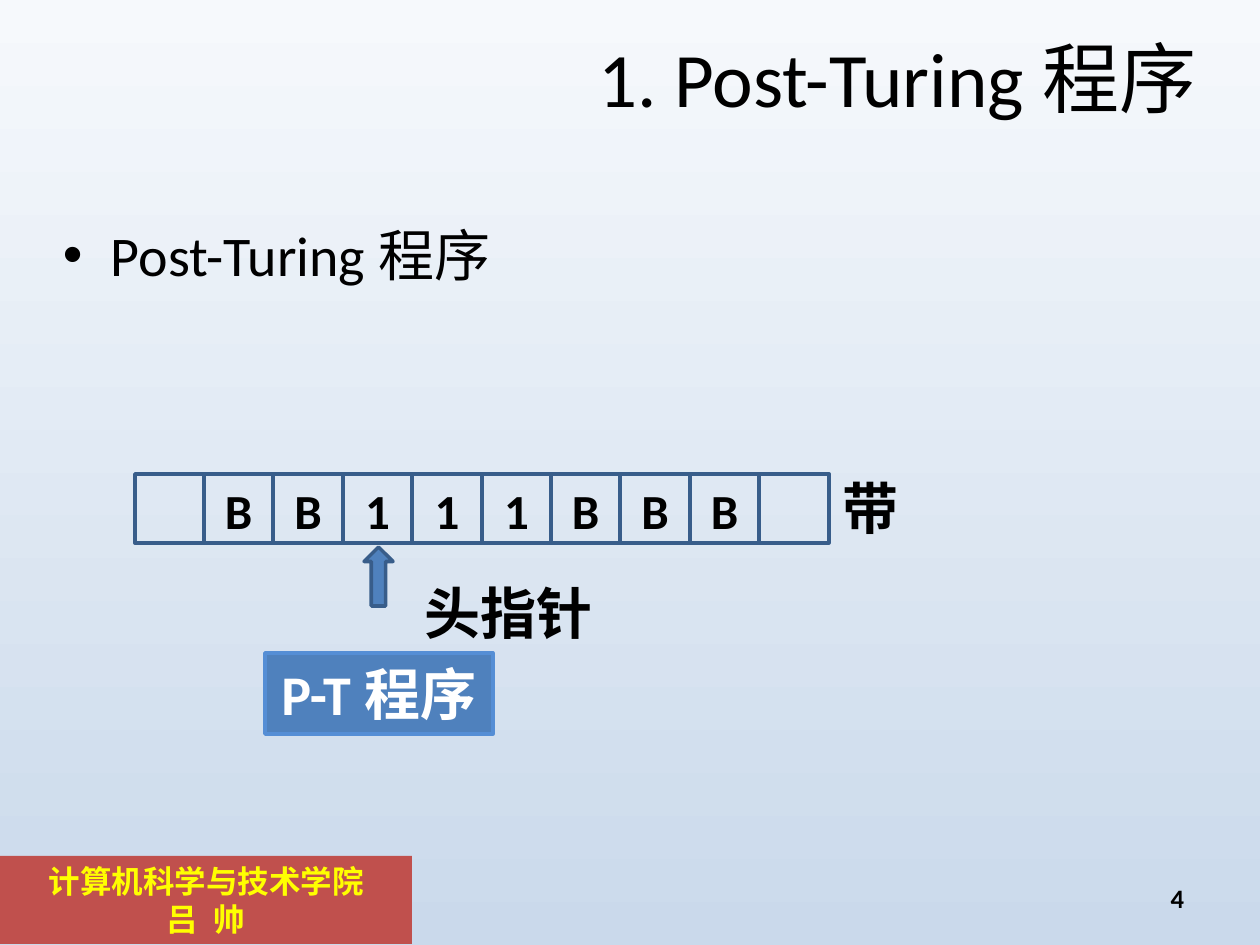
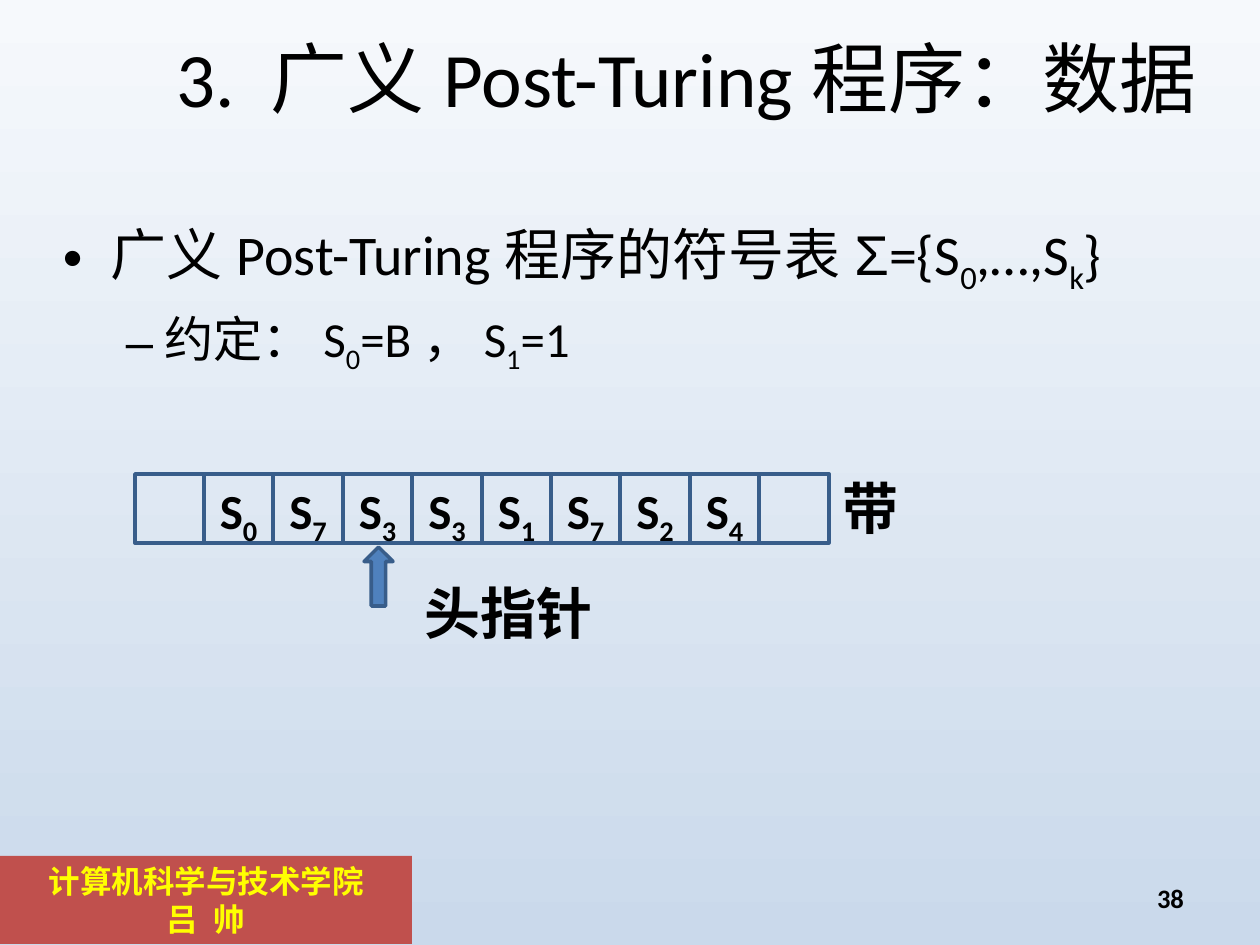
from dataclasses import dataclass
from typing import NamedTuple, Optional

from lxml import etree
from pptx import Presentation
from pptx.dml.color import RGBColor
from pptx.enum.shapes import MSO_SHAPE
from pptx.enum.text import MSO_ANCHOR, PP_ALIGN
from pptx.oxml.ns import qn
from pptx.util import Emu, Pt

RECTANGLE, UP_ARROW = MSO_SHAPE.RECTANGLE, MSO_SHAPE.UP_ARROW
TOP, MIDDLE = MSO_ANCHOR.TOP, MSO_ANCHOR.MIDDLE
LEFT, CENTER, RIGHT = PP_ALIGN.LEFT, PP_ALIGN.CENTER, PP_ALIGN.RIGHT

PX_PER_INCH = 126
SLIDE_WIDTH, SLIDE_HEIGHT = 1260, 945
BLANK_LAYOUT = 6
SUBSCRIPT = -25000


def px(length: float) -> Emu:
    return Emu(round(length * 914400 / PX_PER_INCH))


@dataclass(frozen=True)
class Theme:
    sky_top: str = "F6F9FC"
    sky_bottom: str = "CAD9EB"
    ink: str = "000000"
    white: str = "FFFFFF"
    band: str = "C0504D"
    band_text: str = "FFFF00"
    accent: str = "4F81BD"
    outline: str = "385D8A"
    program_outline: str = "558ED5"
    latin: str = "Calibri"
    label: str = "Arial"
    title_size: float = 44
    body_size: float = 32
    sub_size: float = 28
    band_size: float = 18
    number_size: float = 15.2
    line_width: float = 2


THEME = Theme()


class Box(NamedTuple):
    left: int
    top: int
    width: int
    height: int


class Piece(NamedTuple):
    text: str
    baseline: int = 0
    font: str = ""
    spacing: int = 0


class Style(NamedTuple):
    size: float
    font: str = THEME.latin
    color: str = THEME.ink
    bold: bool = False
    align: PP_ALIGN = LEFT
    anchor: MSO_ANCHOR = TOP
    padded: bool = True


class Bullet(NamedTuple):
    mark: str
    level: int
    margin: int
    hang: int
    space_before: float


class Line(NamedTuple):
    pieces: list[Piece]
    size: Optional[float] = None
    bullet: Optional[Bullet] = None


class TapeSlide(NamedTuple):
    number: str
    title: str
    body_height: int
    body: list[Line]
    symbols: list[list[Piece]]
    program: str = ""


TITLE = Style(THEME.title_size, align=RIGHT, anchor=MIDDLE, padded=False)
BODY = Style(THEME.body_size, padded=False)
BAND = Style(THEME.band_size, THEME.label, THEME.band_text, True, CENTER)
NUMBER = Style(THEME.number_size, bold=True, align=RIGHT, anchor=MIDDLE)
SYMBOL = Style(THEME.sub_size, bold=True, align=CENTER)
LABEL = Style(THEME.body_size, THEME.label, bold=True)
PROGRAM = Style(THEME.body_size, color=THEME.white, bold=True, align=CENTER, anchor=MIDDLE)

POINT = Bullet("•", 0, 48, 48, 0)
SUBPOINT = Bullet("–", 1, 102, 39, 7)

TAPE = Box(135, 474, 694, 69)
CELL_COUNT = 10


def symbol(name: str, index: str) -> list[Piece]:
    return [Piece(name), Piece(index, SUBSCRIPT)]


def plain(text: str) -> list[Line]:
    return [Line([Piece(text)])]


def add_bullet(paragraph, bullet: Bullet) -> None:
    paragraph.level = bullet.level
    properties = paragraph._p.get_or_add_pPr()
    properties.set("marL", str(px(bullet.margin)))
    properties.set("indent", str(-px(bullet.hang)))
    color = etree.SubElement(properties, qn("a:buClr"))
    etree.SubElement(color, qn("a:srgbClr"), val=THEME.ink)
    etree.SubElement(properties, qn("a:buFont"), typeface=THEME.label)
    etree.SubElement(properties, qn("a:buChar"), char=bullet.mark)
    if bullet.space_before:
        paragraph.space_before = Pt(bullet.space_before)


def write(frame, lines: list[Line], style: Style) -> None:
    frame.word_wrap = True
    frame.vertical_anchor = style.anchor
    frame.margin_left = frame.margin_right = px(13 if style.padded else 0)
    frame.margin_top = frame.margin_bottom = px(6 if style.padded else 0)
    for row, line in enumerate(lines):
        paragraph = frame.add_paragraph() if row else frame.paragraphs[0]
        paragraph.alignment = style.align
        if line.bullet:
            add_bullet(paragraph, line.bullet)
        for piece in line.pieces:
            run = paragraph.add_run()
            run.text = piece.text
            run.font.name = piece.font or style.font
            run.font.size = Pt(line.size or style.size)
            run.font.bold = style.bold
            run.font.color.rgb = RGBColor.from_string(style.color)
            properties = run._r.get_or_add_rPr()
            if piece.baseline:
                properties.set("baseline", str(piece.baseline))
            if piece.spacing:
                properties.set("spc", str(piece.spacing))


def add_text(slide, box: Box, lines: list[Line], style: Style):
    textbox = slide.shapes.add_textbox(*map(px, box))
    write(textbox.text_frame, lines, style)
    return textbox


def add_block(slide, kind: MSO_SHAPE, box: Box, fill: str = "", outline: str = ""):
    block = slide.shapes.add_shape(kind, *map(px, box))
    block.shadow.inherit = False
    if fill:
        block.fill.solid()
        block.fill.fore_color.rgb = RGBColor.from_string(fill)
    else:
        block.fill.background()
    if outline:
        block.line.color.rgb = RGBColor.from_string(outline)
        block.line.width = Pt(THEME.line_width)
    else:
        block.line.fill.background()
    return block


def add_frame(slide, number: str, title: str) -> None:
    # Background gradient, running downwards
    fill = slide.background.fill
    fill.gradient()
    fill.gradient_angle = 270
    for stop, color in zip(fill.gradient_stops, (THEME.sky_top, THEME.sky_bottom)):
        stop.color.rgb = RGBColor.from_string(color)
    # Band with school and lecturer
    band = add_block(slide, RECTANGLE, Box(0, 856, 412, 88), THEME.band)
    lecturer = [Piece("吕"), Piece(" ", spacing=500), Piece("帅")]
    write(band.text_frame, plain("计算机科学与技术学院") + [Line(lecturer)], BAND)
    # Title and page number
    add_text(slide, Box(63, 38, 1134, 77), plain(title), TITLE)
    page = add_text(slide, Box(903, 876, 294, 50), plain(number), NUMBER)
    page.text_frame.paragraphs[0].line_spacing = 0.8


def add_tape(slide, symbols: list[list[Piece]]) -> None:
    # Cells, with an empty one at each end
    edges = [TAPE.left + i * TAPE.width // CELL_COUNT for i in range(CELL_COUNT + 1)]
    for left, right, pieces in zip(edges, edges[1:], [[], *symbols, []]):
        cell_box = Box(left, TAPE.top, right - left, TAPE.height)
        cell = add_block(slide, RECTANGLE, cell_box, outline=THEME.outline)
        if pieces:
            write(cell.text_frame, [Line(pieces)], SYMBOL)
    add_text(slide, Box(830, 467, 179, 81), plain("带"), LABEL)
    # Head pointer
    add_block(slide, UP_ARROW, Box(364, 547, 29, 59), THEME.accent, THEME.outline)
    add_text(slide, Box(412, 572, 263, 81), plain("头指针"), LABEL)


def build_slide(deck, content: TapeSlide) -> None:
    slide = deck.slides.add_slide(deck.slide_layouts[BLANK_LAYOUT])
    add_frame(slide, content.number, content.title)
    add_text(slide, Box(63, 220, 1134, content.body_height), content.body, BODY)
    add_tape(slide, content.symbols)
    if content.program:
        program = add_block(slide, RECTANGLE, Box(265, 653, 228, 81),
                            THEME.accent, THEME.program_outline)
        write(program.text_frame, plain(content.program), PROGRAM)


SLIDES = [
    TapeSlide(
        number="4",
        title="1. Post-Turing程序",
        body_height=183,
        body=[Line([Piece("Post-Turing程序")], bullet=POINT)],
        symbols=[[Piece(mark)] for mark in "BB111BBB"],
        program="P-T程序",
    ),
    TapeSlide(
        number="38",
        title="3. 广义Post-Turing程序：数据",
        body_height=539,
        body=[
            Line([Piece("广义Post-Turing程序的符号表"), Piece("Σ", font=THEME.label),
                  *symbol("={S", "0"), *symbol(",…,S", "k"), Piece("}")], bullet=POINT),
            Line([*symbol("约定：S", "0"), *symbol("=B，S", "1"), Piece("=1")],
                 THEME.sub_size, SUBPOINT),
        ],
        symbols=[symbol("S", index) for index in "07331724"],
    ),
]


def main() -> None:
    deck = Presentation()
    deck.slide_width, deck.slide_height = px(SLIDE_WIDTH), px(SLIDE_HEIGHT)
    for content in SLIDES:
        build_slide(deck, content)
    deck.save("out.pptx")


if __name__ == "__main__":
    main()
